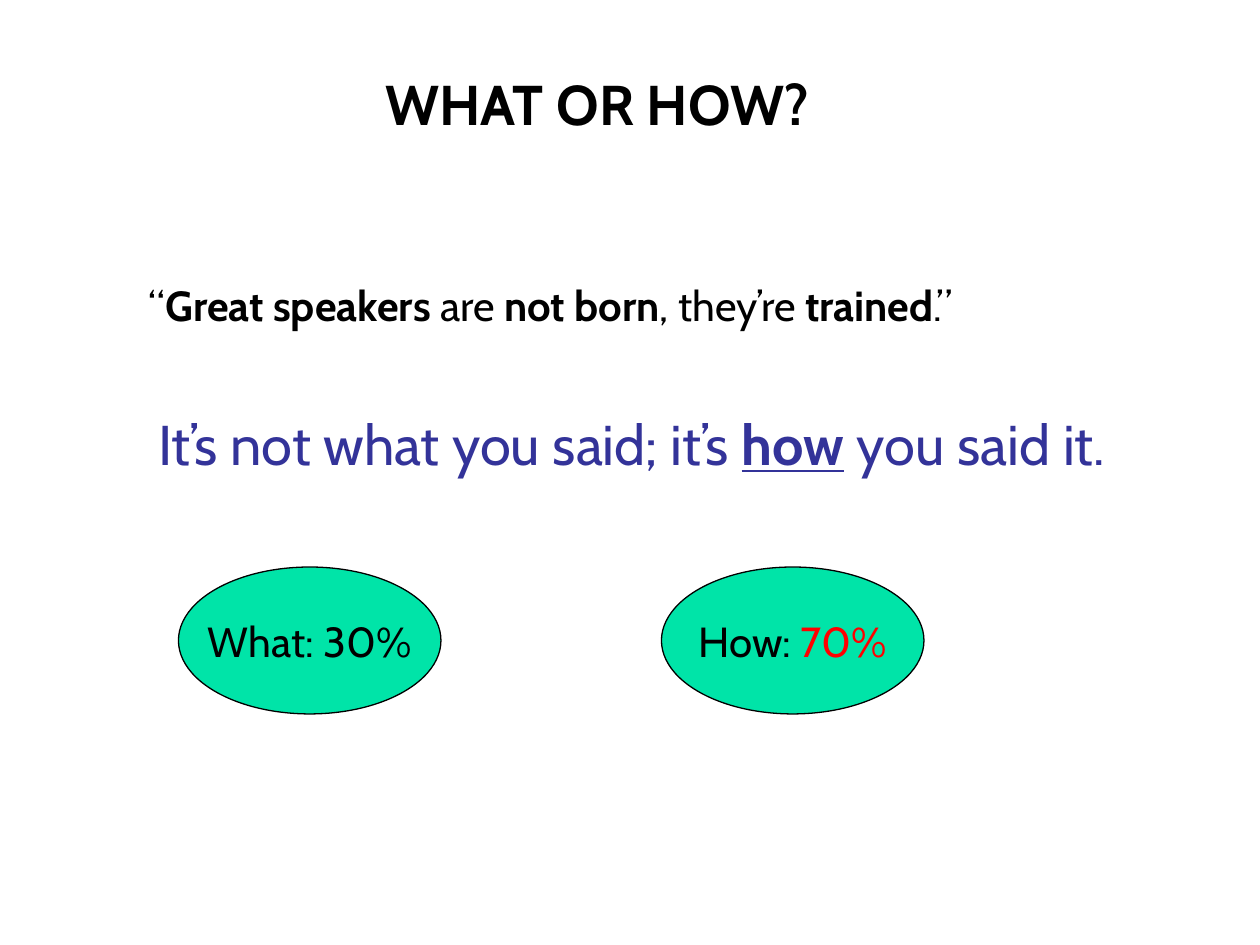
from pptx import Presentation
from pptx.dml.color import RGBColor
from pptx.enum.shapes import MSO_SHAPE
from pptx.enum.text import MSO_ANCHOR, MSO_AUTO_SIZE, PP_ALIGN
from pptx.util import Pt

OVAL = MSO_SHAPE.OVAL
TOP, MIDDLE, BOTTOM = MSO_ANCHOR.TOP, MSO_ANCHOR.MIDDLE, MSO_ANCHOR.BOTTOM
LEFT, CENTER = PP_ALIGN.LEFT, PP_ALIGN.CENTER
GROW = MSO_AUTO_SIZE.SHAPE_TO_FIT_TEXT

BLACK = RGBColor(0x00, 0x00, 0x00)
BLUE = RGBColor(0x33, 0x33, 0x99)
GREEN = RGBColor(0x00, 0xE4, 0xA8)
RED = RGBColor(0xFF, 0x00, 0x00)


def write(shape, runs, size, align, anchor):
    """Fill the shape with one paragraph of (text, colour, bold, underline) runs."""
    frame = shape.text_frame
    frame.vertical_anchor = anchor
    para = frame.paragraphs[0]
    para.alignment = align
    for text, color, bold, under in runs:
        run = para.add_run()
        run.text = text
        font = run.font
        font.name = "Cabin"
        font.size = Pt(size)
        font.color.rgb = color
        font.bold = bold
        font.underline = under
    return frame


def add_text(box, runs, size, align, anchor=TOP):
    shape = slide.shapes.add_textbox(*map(Pt, box))
    frame = write(shape, runs, size, align, anchor)
    frame.word_wrap = True
    return frame


prs = Presentation()
prs.slide_width, prs.slide_height = Pt(720), Pt(540)
slide = prs.slides.add_slide(prs.slide_layouts[6])

# Quote, with every second part in bold
parts = ["“", "Great speakers", " are ", "not born", ", they’re ", "trained", ".”"]
quote = [(part, BLACK, i % 2 == 1, False) for i, part in enumerate(parts)]
add_text((78, 156, 564, 36), quote, 24, LEFT).auto_size = GROW

# Key message
motto = [
    ("It’s not what you said; it’s ", BLUE, False, False),
    ("how", BLUE, True, True),
    (" you said it.", BLUE, False, False),
]
add_text((18, 210, 686, 66), motto, 32, CENTER, BOTTOM)

# Shares
shares = [
    (102, [("What: 30%", BLACK, False, False)]),
    (378, [("How: ", BLACK, False, False), ("70%", RED, False, False)]),
]
for left, runs in shares:
    oval = slide.shapes.add_shape(OVAL, Pt(left), Pt(324), Pt(150), Pt(84))
    oval.shadow.inherit = False
    oval.fill.solid()
    oval.fill.fore_color.rgb = GREEN
    oval.line.color.rgb = BLACK
    oval.line.width = Pt(0.75)
    write(oval, runs, 24, CENTER, MIDDLE).word_wrap = False

# Title
title = [("WHAT OR HOW? ", BLACK, True, False)]
add_text((156, 36, 378, 46), title, 32, CENTER).auto_size = GROW

prs.save("out.pptx")
